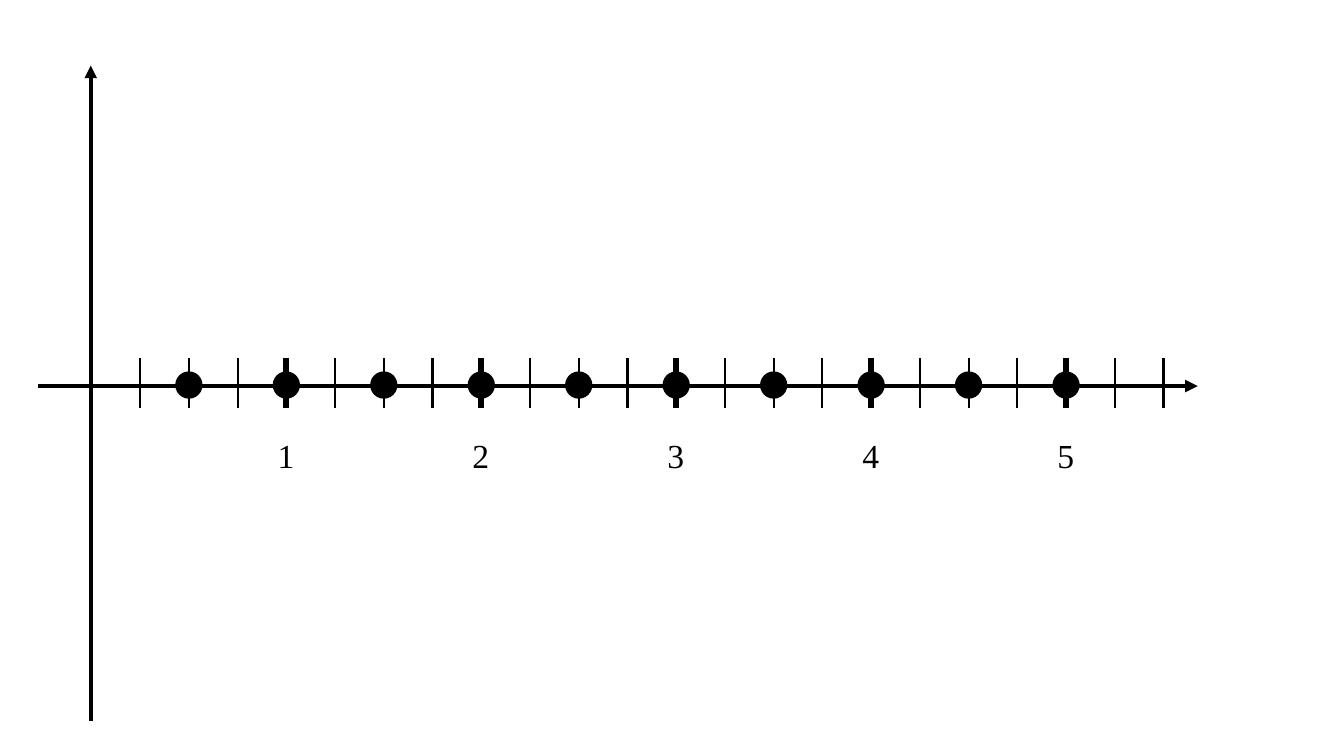
from pptx import Presentation, util as u
from pptx.dml.color import RGBColor
from pptx.enum import shapes, text
from pptx.oxml.ns import qn
from lxml import etree

BLACK = "000000"
FIRST_TICK, LAST_TICK, TICKS = 1.39, 11.54, 22
STEP = (LAST_TICK - FIRST_TICK) / (TICKS - 1)
PER_UNIT = 4  # ticks in one whole unit
TICK_TOP, TICK_LENGTH = 3.55, 0.5
AXIS_Y, AXIS_X = 3.83, 0.9
DOT_SIZE, DOT_Y = 0.25, 3.82
LABEL_TOP, LABEL_W, LABEL_H = 4.27, 0.37, 0.5
LABEL_FONT = {"name": "Times New Roman", "size": u.Pt(24)}


def color(hex_text):
    return RGBColor.from_string(hex_text)


def tick_x(n):
    """Position of the n-th tick, counted from 1."""
    return FIRST_TICK + (n - 1) * STEP


def add_line(slide, start, end, width, arrow=False):
    points = [u.Inches(v) for v in (*start, *end)]
    sp = slide.shapes.add_connector(shapes.MSO_CONNECTOR.STRAIGHT, *points)
    sp.line.color.rgb = color(BLACK)
    sp.line.width = u.Pt(width)
    if arrow:
        etree.SubElement(sp.line._get_or_add_ln(), qn("a:tailEnd"), type="triangle")
    etree.SubElement(sp._element.spPr, qn("a:effectLst"))


def add_axes(slide):
    add_line(slide, (0.38, AXIS_Y), (11.88, AXIS_Y), 3, arrow=True)
    add_line(slide, (AXIS_X, 7.15), (AXIS_X, 0.65), 3, arrow=True)


def add_ticks(slide):
    for n in range(1, TICKS + 1):
        x = tick_x(n)
        width = 1.5 if n % PER_UNIT else 4.5
        add_line(slide, (x, TICK_TOP), (x, TICK_TOP + TICK_LENGTH), width)


def add_label(slide, number):
    left = tick_x(number * PER_UNIT) - LABEL_W / 2
    box = [u.Inches(v) for v in (left, LABEL_TOP, LABEL_W, LABEL_H)]
    tf = slide.shapes.add_textbox(*box).text_frame
    tf.word_wrap = False
    tf.auto_size = text.MSO_AUTO_SIZE.SHAPE_TO_FIT_TEXT
    r = tf.paragraphs[0].add_run()
    r.text = str(number)
    for name, value in LABEL_FONT.items():
        setattr(r.font, name, value)
    r.font.color.rgb = color(BLACK)


def add_dot(slide, x):
    box = (x - DOT_SIZE / 2, DOT_Y - DOT_SIZE / 2, DOT_SIZE, DOT_SIZE)
    sp = slide.shapes.add_shape(shapes.MSO_SHAPE.OVAL, *[u.Inches(v) for v in box])
    sp.shadow.inherit = False
    sp.fill.solid()
    sp.fill.fore_color.rgb = color(BLACK)
    sp.line.color.rgb = color(BLACK)
    sp.line.width = u.Pt(1.5)


def main():
    prs = Presentation()
    prs.slide_width, prs.slide_height = u.Inches(13.33), u.Inches(7.5)
    slide = prs.slides.add_slide(prs.slide_layouts[6])
    add_axes(slide)
    add_ticks(slide)
    for number in range(1, 6):
        add_label(slide, number)
    for n in range(2, 21, 2):
        add_dot(slide, tick_x(n))
    prs.save("out.pptx")


if __name__ == "__main__":
    main()
